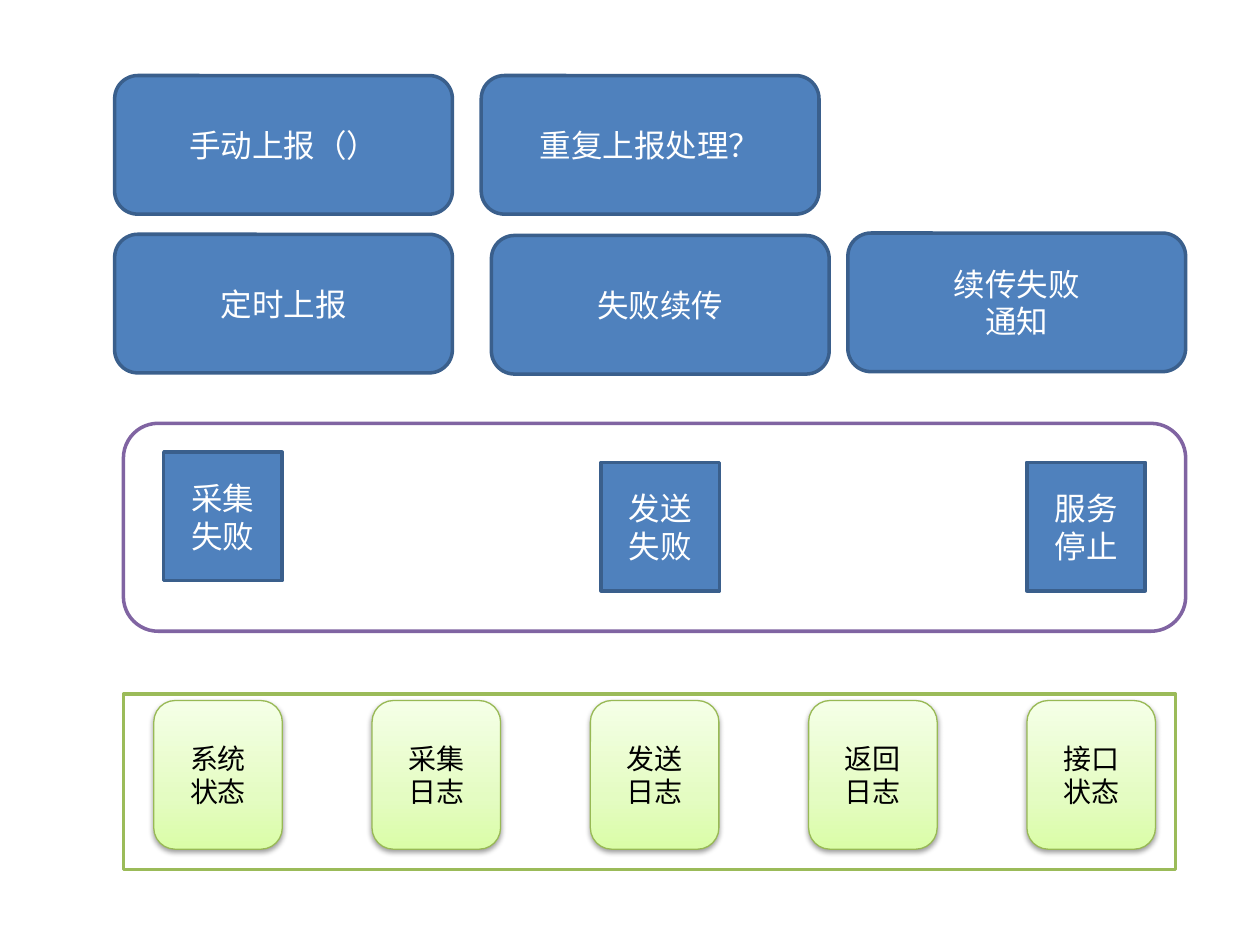
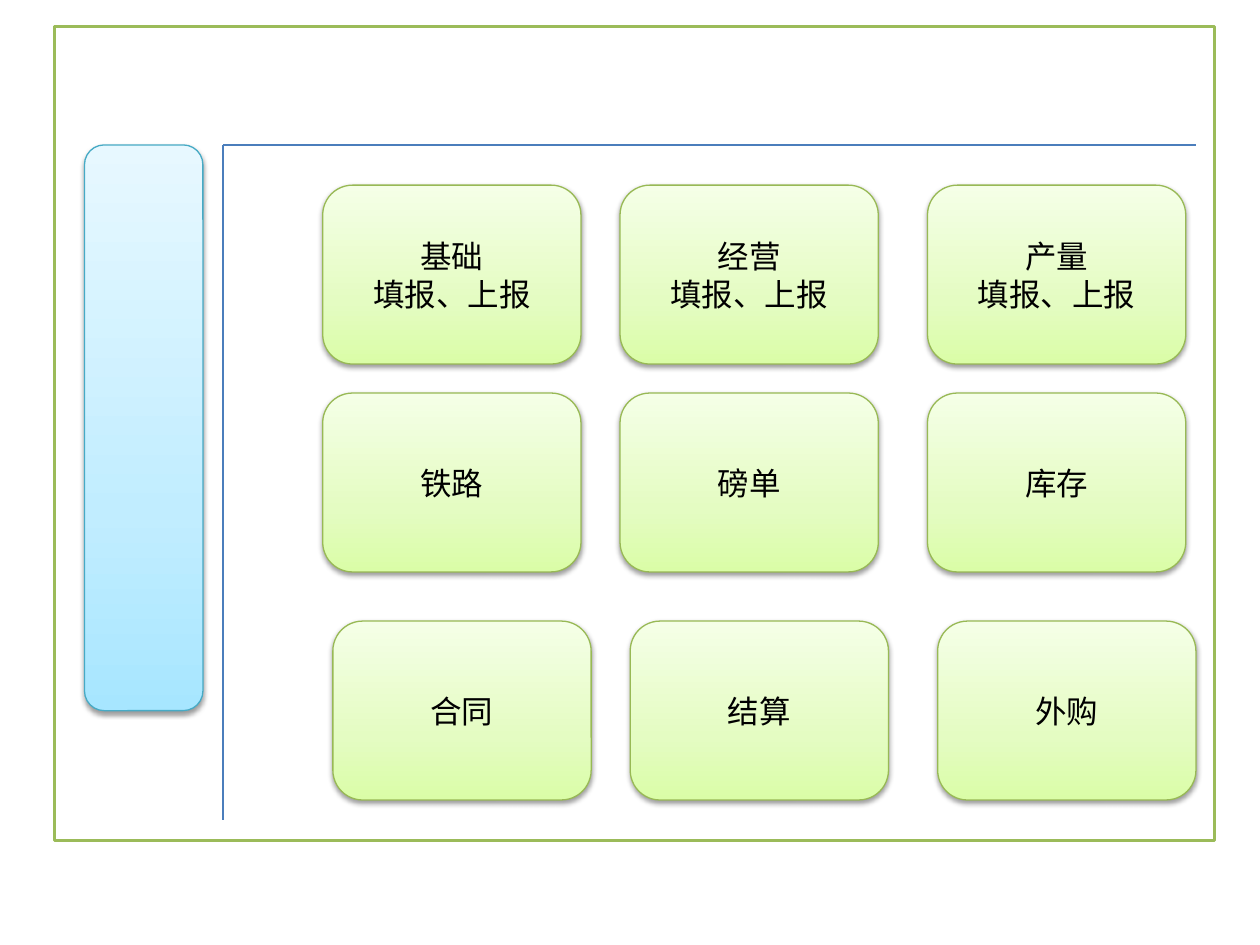
from copy import deepcopy
from pptx import Presentation
from pptx.dml.color import RGBColor
from pptx.enum import shapes, text
from pptx.oxml import ns, xmlchemy
from pptx.util import Pt

HUE = {
    "white": "FFFFFF", "black": "000000",
    "blue": "4F81BD", "navy": "3A5F8C", "rule": "4B7EBC",
    "green": "9BBB59", "violet": "8064A2",
}
GLOW = {
    "lime": ("98B955", ("DAFDA7", "E4FCC2", "F5FFE7")),
    "aqua": ("46AAC5", ("A7E6FF", "C1EDFF", "E7F8FF")),
}
STOPS = (0, 0.35, 1)
FONT = "Calibri"
RECT = shapes.MSO_SHAPE.RECTANGLE
ROUND = shapes.MSO_SHAPE.ROUNDED_RECTANGLE


def rgb(code):
    return RGBColor.from_string(code)


def add_shape(slide, kind, box, edge, width):
    shape = slide.shapes.add_shape(kind, *map(Pt, box))
    shape.shadow.inherit = False
    shape.line.color.rgb = rgb(edge)
    shape.line.width = Pt(width)
    return shape


def add_text(shape, lines, size, color):
    frame = shape.text_frame
    frame.word_wrap = True
    frame.vertical_anchor = text.MSO_ANCHOR.MIDDLE
    for i, line in enumerate(lines):
        para = frame.add_paragraph() if i else frame.paragraphs[0]
        para.alignment = text.PP_ALIGN.CENTER
        run = para.add_run()
        run.text = line
        run.font.name = FONT
        run.font.size = Pt(size)
        run.font.color.rgb = rgb(HUE[color])


def add_panel(slide, box, edge, kind=RECT):
    shape = add_shape(slide, kind, box, HUE[edge], 2)
    shape.fill.solid()
    shape.fill.fore_color.rgb = rgb(HUE["white"])


def add_block(slide, kind, box, lines):
    shape = add_shape(slide, kind, box, HUE["navy"], 2)
    shape.fill.solid()
    shape.fill.fore_color.rgb = rgb(HUE["blue"])
    add_text(shape, lines, 18, "white")


def add_card(slide, box, tone, lines=(), size=18):
    edge, shades = GLOW[tone]
    shape = add_shape(slide, ROUND, box, edge, 0.75)
    fill = shape.fill
    fill.gradient()
    fill.gradient_angle = 90
    props = shape._element.spPr
    stops = props.find(ns.qn("a:gradFill")).find(ns.qn("a:gsLst"))
    stops.insert(1, deepcopy(stops[0]))
    for stop, place, shade in zip(fill.gradient_stops, STOPS, shades):
        stop.position = place
        stop.color.rgb = rgb(shade)
    add_shadow(props.find(ns.qn("a:effectLst")))
    if lines:
        add_text(shape, lines, size, "black")


def add_shadow(effects):
    cast = xmlchemy.OxmlElement("a:outerShdw")
    for key, value in (("blurRad", Pt(3.1)), ("dist", Pt(1.6)),
                       ("dir", 5400000), ("rotWithShape", 0)):
        cast.set(key, str(int(value)))
    tint = xmlchemy.OxmlElement("a:srgbClr")
    tint.set("val", HUE["black"])
    alpha = xmlchemy.OxmlElement("a:alpha")
    alpha.set("val", "38000")
    tint.append(alpha)
    cast.append(tint)
    effects.append(cast)


def add_rule(slide, x, y, dx, dy):
    line = slide.shapes.add_connector(
        shapes.MSO_CONNECTOR.STRAIGHT, Pt(x), Pt(y), Pt(x + dx), Pt(y + dy))
    line.line.color.rgb = rgb(HUE["rule"])
    line.line.width = Pt(0.75)
    line._element.spPr.append(xmlchemy.OxmlElement("a:effectLst"))


def draw_logs(slide, box):
    x, y, w, h = box
    add_panel(slide, box, "green")
    names = (("系统", "状态"), ("采集", "日志"), ("发送", "日志"),
             ("返回", "日志"), ("接口", "状态"))
    for i, lines in enumerate(names):
        spot = (x + 17.3 + i * 124.74, y + 3.6, 73.44, 84.96)
        add_card(slide, spot, "lime", lines, 16)


def draw_faults(slide, box):
    x, y, w, h = box
    add_panel(slide, box, "violet", ROUND)
    for dx, dy, name in ((23, 16.5, "采集失败"), (272.9, 22.3, "发送失败"),
                         (516.2, 22.3, "服务停止")):
        add_block(slide, RECT, (x + dx, y + dy, 67.7, 73.44), [name])


def draw_reports(slide, box):
    x, y, w, h = box
    parts = (
        (0, 90.7, ["定时上报"]),
        (215.3, 91.4, ["失败续传"]),
        (419, 90, ["续传失败", "通知"]),
        (0, 0, ["手动上报（）"]),
        (209.5, 0, ["重复上报处理？"]),
    )
    for dx, dy, lines in parts:
        add_block(slide, ROUND, (x + dx, y + dy, 193, 79.2), lines)


def draw_grid(slide, box):
    x, y, w, h = box
    fill = "填报、上报"
    rows = (
        (0, 0, (("基础", fill), ("经营", fill), ("产量", fill))),
        (0, 118.8, (["铁路"], ["磅单"], ["库存"])),
        (5.8, 249.1, (["合同"], ["结算"], ["外购"])),
    )
    for shift, dy, names in rows:
        for dx, lines in zip((0, 169.9, 345.6), names):
            spot = (x + shift + dx, y + dy, 147.6, 102.24)
            add_card(slide, spot, "lime", lines)


def draw_portal(slide, box):
    x, y, w, h = box
    add_panel(slide, box, "green")
    draw_grid(slide, (x + 153.4, y + 90.7, 499, 351.4))
    top = y + 67.7
    add_rule(slide, x + 96.5, top, 555.8, 0)
    add_rule(slide, x + 96.5, top, 0, 385.9)
    add_card(slide, (x + 17.3, top, 67.7, 323.3), "aqua")


deck = Presentation()
deck.slide_width, deck.slide_height = Pt(720), Pt(540)
blank = deck.slide_layouts[6]

first = deck.slides.add_slide(blank)
draw_logs(first, (70.56, 396.7, 601.2, 100.1))
draw_faults(first, (70.56, 241.9, 607, 118.8))
draw_reports(first, (65.5, 43.2, 612, 170.6))

second = deck.slides.add_slide(blank)
draw_portal(second, (31, 15.1, 663.1, 465.1))

deck.save("out.pptx")
